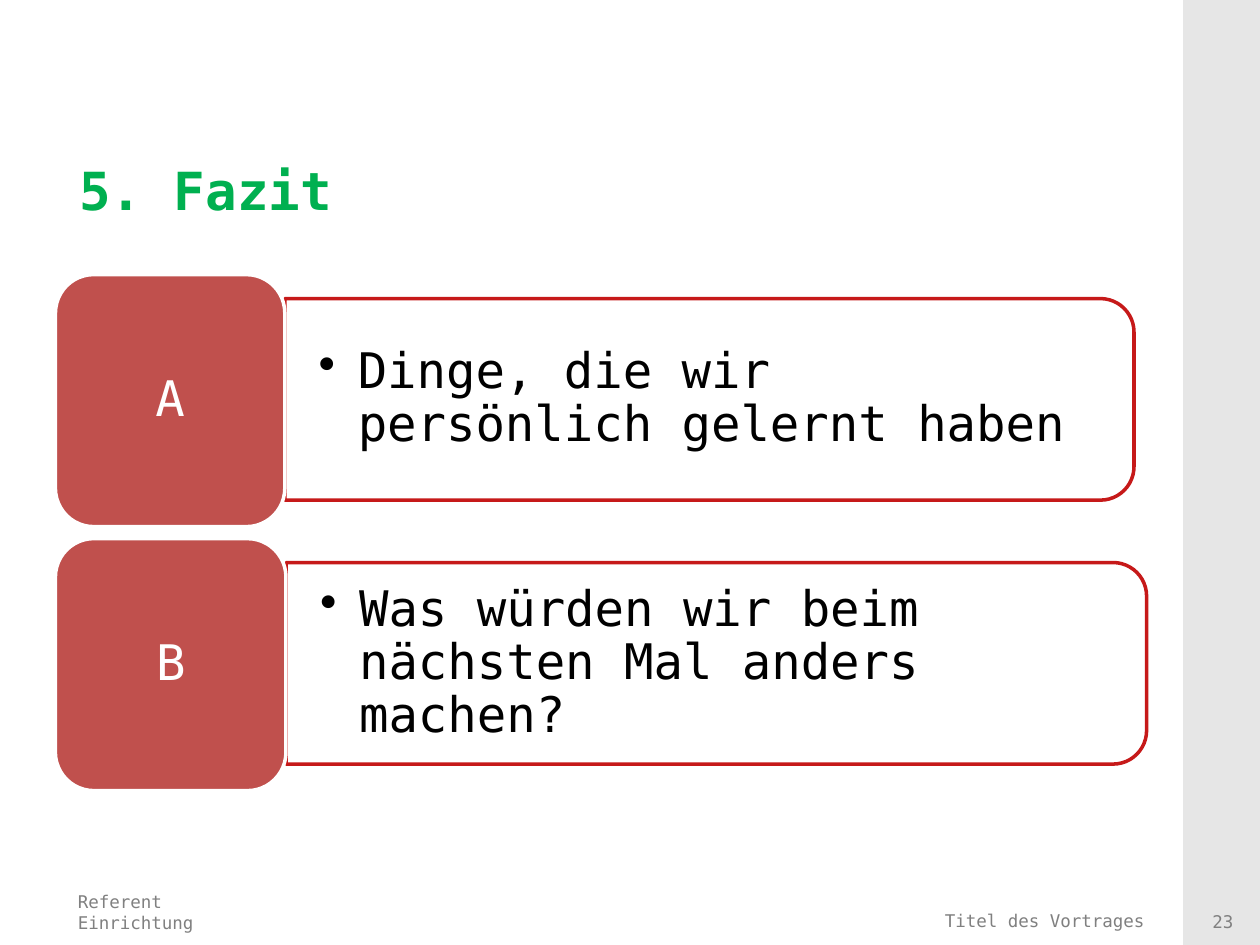
"""Build the closing slide with two lettered conclusions."""
from dataclasses import dataclass

from lxml import etree
from pptx import Presentation
from pptx.dml.color import RGBColor
from pptx.enum.shapes import MSO_SHAPE
from pptx.enum.text import MSO_ANCHOR, PP_ALIGN
from pptx.oxml.ns import qn
from pptx.util import Inches, Pt

RECTANGLE = MSO_SHAPE.RECTANGLE
ROUNDED = MSO_SHAPE.ROUNDED_RECTANGLE
ROUNDED_TOP = MSO_SHAPE.ROUND_2_SAME_RECTANGLE
LEFT, CENTER, RIGHT = PP_ALIGN.LEFT, PP_ALIGN.CENTER, PP_ALIGN.RIGHT
TOP, MIDDLE, BOTTOM = MSO_ANCHOR.TOP, MSO_ANCHOR.MIDDLE, MSO_ANCHOR.BOTTOM


@dataclass(frozen=True)
class Theme:
    """Colours, type and line sizes of the deck."""
    font: str = "DejaVu Sans Mono"
    white: str = "FFFFFF"
    black: str = "000000"
    gray: str = "808080"
    band: str = "E6E6E6"
    green: str = "00B050"
    badge: str = "C0504D"
    outline: str = "C00000"
    title_size: int = 30
    body_size: int = 28
    footer_size: int = 10
    line_width: int = 2
    panel_opacity: int = 90


class SlideBuilder:
    """Draws elements on a grid of 100 columns by 75 rows."""

    def __init__(self, deck, theme):
        """Add a blank page and work out the grid cell."""
        self.theme = theme
        self.page = deck.slides.add_slide(deck.slide_layouts[6])
        self.column = deck.slide_width / 100
        self.row = deck.slide_height / 75

    def place(self, left, top, width, height):
        """Turn grid units into slide lengths."""
        return (round(left * self.column), round(top * self.row),
                round(width * self.column), round(height * self.row))

    def shape(self, kind, area, fill, line=None):
        """Add a filled shape with an optional outline."""
        shape = self.page.shapes.add_shape(kind, *self.place(*area))
        shape.shadow.inherit = False
        shape.fill.solid()
        shape.fill.fore_color.rgb = RGBColor.from_string(fill)
        if line:
            shape.line.color.rgb = RGBColor.from_string(line)
            shape.line.width = Pt(self.theme.line_width)
        else:
            shape.line.fill.background()
        return shape

    def panel(self, area):
        """Add a translucent panel rounded on its right side."""
        left, top, width, height = area
        turned = (left + (width - height) / 2, top + (height - width) / 2, height, width)
        panel = self.shape(ROUNDED_TOP, turned, self.theme.white, self.theme.outline)
        panel.rotation = 90
        for color in panel.element.spPr.iter(qn("a:srgbClr")):
            alpha = etree.SubElement(color, qn("a:alpha"))
            alpha.set("val", str(self.theme.panel_opacity * 1000))

    def text(self, area, lines, size, color, align=LEFT, anchor=TOP,
             inset=(1, 0.5, 1, 0.5), bold=False, spacing=None):
        """Add a text box and return its paragraphs."""
        box = self.page.shapes.add_textbox(*self.place(*area))
        frame = box.text_frame
        frame.word_wrap = True
        frame.vertical_anchor = anchor
        (frame.margin_left, frame.margin_top,
         frame.margin_right, frame.margin_bottom) = self.place(*inset)
        frame.text = "\n".join(lines)
        for paragraph in frame.paragraphs:
            paragraph.alignment = align
            paragraph.line_spacing = spacing
            paragraph.font.name = self.theme.font
            paragraph.font.size = Pt(size)
            paragraph.font.bold = bold
            paragraph.font.color.rgb = RGBColor.from_string(color)
        return frame.paragraphs

    def bullet(self, area, wording):
        """Add a vertically centred bullet point."""
        paragraph, = self.text(area, [wording], self.theme.body_size, self.theme.black,
                               anchor=MIDDLE, inset=(2.7, 1.4, 2.7, 1.4), spacing=0.9)
        paragraph.level = 1
        properties = paragraph._p.get_or_add_pPr()
        indent = round(3.1 * self.column)
        properties.set("marL", str(indent))
        properties.set("indent", str(-indent))
        mark = etree.Element(qn("a:buChar"), char="•")
        properties.find(qn("a:lnSpc")).addnext(mark)

    def conclusion(self, top, letter, wording, badge_width, panel_width):
        """Add a lettered badge with the panel beside it."""
        left, height = 4.4, 20
        edge = left + badge_width
        self.panel((edge, top + 1.9, panel_width, 16))
        self.bullet((edge, top + 2.7, panel_width - 0.8, 14.4), wording)
        self.shape(ROUNDED, (left, top, badge_width, height),
                   self.theme.badge, self.theme.white)
        self.text((left + 0.9, top + 0.9, badge_width - 1.8, height - 1.8), [letter],
                  self.theme.body_size, self.theme.white, CENTER, MIDDLE,
                  inset=(1.2, 0.6, 1.2, 0.6), spacing=0.9)

    def footer(self, area, lines, align=LEFT, anchor=TOP, inset=(1, 0.5, 1, 0.5)):
        """Add small gray text at the foot of the page."""
        self.text(area, lines, self.theme.footer_size, self.theme.gray, align, anchor, inset)


def main():
    """Build and save the deck."""
    deck = Presentation()
    deck.slide_width, deck.slide_height = Inches(10), Inches(7.5)
    theme = Theme()
    builder = SlideBuilder(deck, theme)
    builder.shape(RECTANGLE, (93.9, 0, 6.1, 75), theme.band)
    builder.footer((5.2, 70.2, 42.5, 4.3), ["Referent", "Einrichtung"])
    builder.footer((48.5, 70.6, 43.3, 3.3), ["Titel des Vortrages"], RIGHT, BOTTOM, (1, 0, 1, 0))
    builder.footer((94.5, 71.8, 5.1, 2.7), ["23"], CENTER)
    conclusions = [
        ("A", "Dinge, die wir persönlich gelernt haben", 18.2, 67.4),
        ("B", "Was würden wir beim nächsten Mal anders machen?", 18.3, 68.3),
    ]
    for index, conclusion in enumerate(conclusions):
        builder.conclusion(21.8 + index * 20.95, *conclusion)
    builder.text((5.3, 12.3, 86.4, 5.5), ["5. Fazit"], theme.title_size, theme.green,
                 anchor=MIDDLE, bold=True)
    deck.save("out.pptx")


if __name__ == "__main__":
    main()
